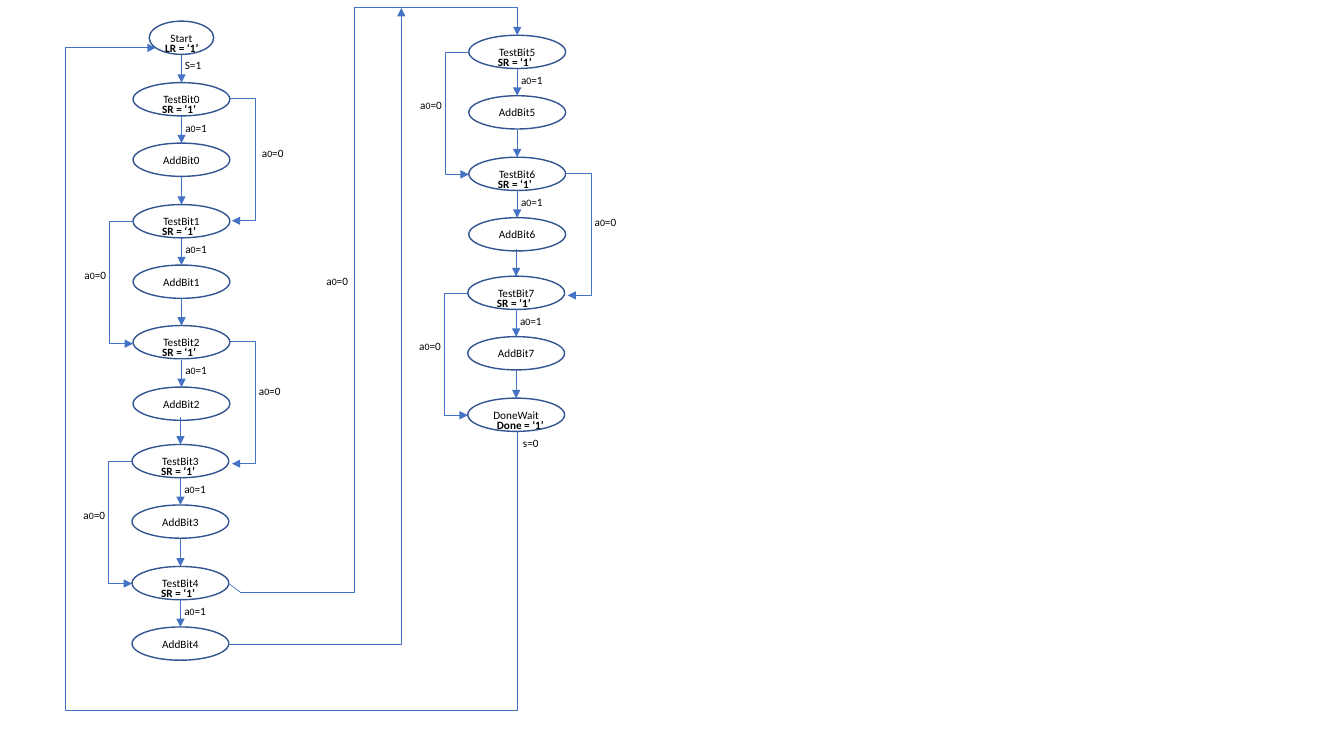
from dataclasses import dataclass

from lxml import etree
from pptx import Presentation
from pptx import util as u
from pptx.dml.color import RGBColor
from pptx.enum import shapes, text
from pptx.oxml import ns

PX = 9144


@dataclass(frozen=True)
class Theme:
    font: str = "Calibri"
    ink: RGBColor = RGBColor(0x00, 0x00, 0x00)
    outline: RGBColor = RGBColor(0x32, 0x54, 0x91)
    arrow: RGBColor = RGBColor(0x44, 0x72, 0xC4)
    size: int = 8
    digit_size: int = 7
    outline_width: int = 1
    arrow_width: float = 0.5


theme = Theme()
deck = Presentation()
deck.slide_width, deck.slide_height = 1333 * PX, 750 * PX
page = deck.slides.add_slide(deck.slide_layouts[6])


def write(left, top, width, height, parts, oval=False, bold=False):
    place = [n * PX for n in (left, top, width, height)]
    if oval:
        box = page.shapes.add_shape(shapes.MSO_SHAPE.OVAL, *place)
        box.shadow.inherit = False
        box.fill.background()
        box.line.color.rgb = theme.outline
        box.line.width = u.Pt(theme.outline_width)
        box.text_frame.vertical_anchor = text.MSO_ANCHOR.MIDDLE
    else:
        box = page.shapes.add_textbox(*place)
    box.text_frame.word_wrap = True
    para = box.text_frame.paragraphs[0]
    para.alignment = text.PP_ALIGN.LEFT if bold else text.PP_ALIGN.CENTER
    for part in parts:
        span = para.add_run()
        span.text = part
        span.font.name = theme.font
        span.font.size = u.Pt(theme.digit_size if part == "0" else theme.size)
        span.font.bold = bold
        span.font.color.rgb = theme.ink


def link(begin, end, bends=(), preset="line", turn=0, head=True):
    line = page.shapes.add_connector(
        shapes.MSO_CONNECTOR.STRAIGHT, *(n * PX for n in begin + end))
    line.line.color.rgb = theme.arrow
    line.line.width = u.Pt(theme.arrow_width)
    props = line._element.spPr
    geometry = props.find(ns.qn("a:prstGeom"))
    geometry.set("prst", preset)
    guides = geometry.find(ns.qn("a:avLst"))
    for number, bend in enumerate(bends, 1):
        etree.SubElement(guides, ns.qn("a:gd"), name=f"adj{number}",
                         fmla=f"val {round(bend * 100000)}")
    if turn:
        props.find(ns.qn("a:xfrm")).set("rot", str(turn * 60000))
    if head:
        etree.SubElement(props.find(ns.qn("a:ln")), ns.qn("a:tailEnd"), type="triangle")
    etree.SubElement(props, ns.qn("a:effectLst"))


oval_width, oval_height, pitch, gap = 96, 33, 60.3, 27
if_one, if_zero = ("a", "0", "=1"), ("a", "0", "=0")

groups = [
    (132, 82, ["TestBit0", "AddBit0", "TestBit1", "AddBit1", "TestBit2", "AddBit2"]),
    (131, 441, ["TestBit3", "AddBit3", "TestBit4", "AddBit4"]),
    (465, 35, ["TestBit5", "AddBit5", "TestBit6", "AddBit6"]),
    (464, 274, ["TestBit7", "AddBit7", "DoneWait"]),
]
left_loops = ["TestBit1", "TestBit3", "TestBit5", "TestBit7"]
right_loops = {"TestBit0": (115, 42), "TestBit2": (112, 37), "TestBit6": (112, 37)}

write(148, 21, 64, oval_height, ["Start"], oval=True)
write(154, 36, 89, 24, ["LR = ‘1’"], bold=True)
write(171, 53, 41, 24, ["S=1"])

for left, first_top, names in groups:
    for row, name in enumerate(names):
        top = first_top + round(row * pitch)
        middle = left + oval_width // 2
        write(left, top, oval_width, oval_height, [name], oval=True)
        if name != "TestBit5":
            link((middle, top - gap), (middle, top))
        if not name.startswith("AddBit"):
            done = name == "DoneWait"
            output = "Done = ‘1’" if done else "SR = ‘1’"
            write(left + 19, top + 15, 89, 24, [output], bold=True)
            write(left + 39, top + oval_height, 47, 24, ["s=0"] if done else if_one)
        if name in left_loops:
            link((left + 1, top + 17), (left, top + 138), [25], "bentConnector3")
            write(left - 61, top + 58, 47, 24, if_zero)
        if name in right_loops:
            across, down = right_loops[name]
            right = left + oval_width
            link((right, top + 16), (right + 2, top + 137), [12.5], "bentConnector3")
            write(left + across, top + 16 + down, 47, 24, if_zero)

link((239, 588), (227, 579), head=False)
link((239, 588), (513, 35), [0.41, 1.05], "bentConnector4")
write(311, 267, 47, 24, if_zero)
link((227, 639), (398, 8), preset="bentConnector2")
link((144, 417), (524, 58), [-0.73, 1.25], "bentConnector4", turn=270)

deck.save("out.pptx")
